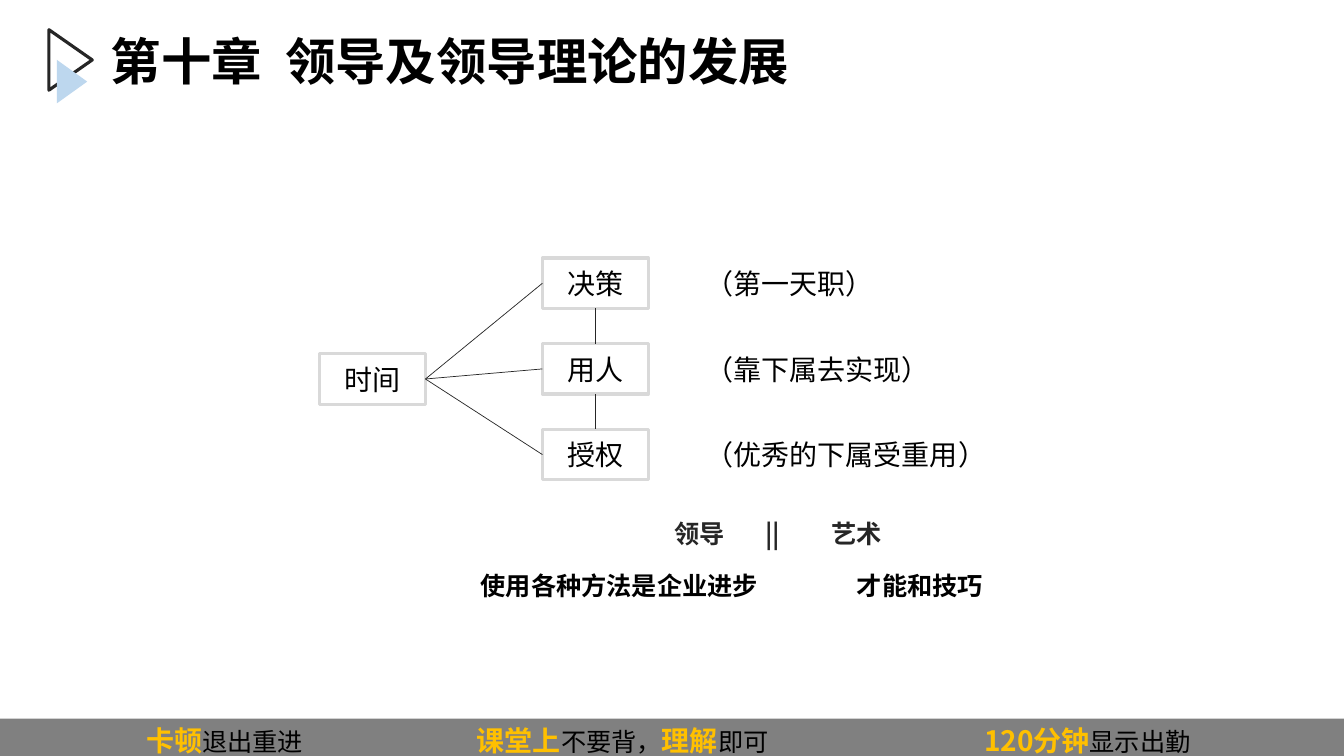
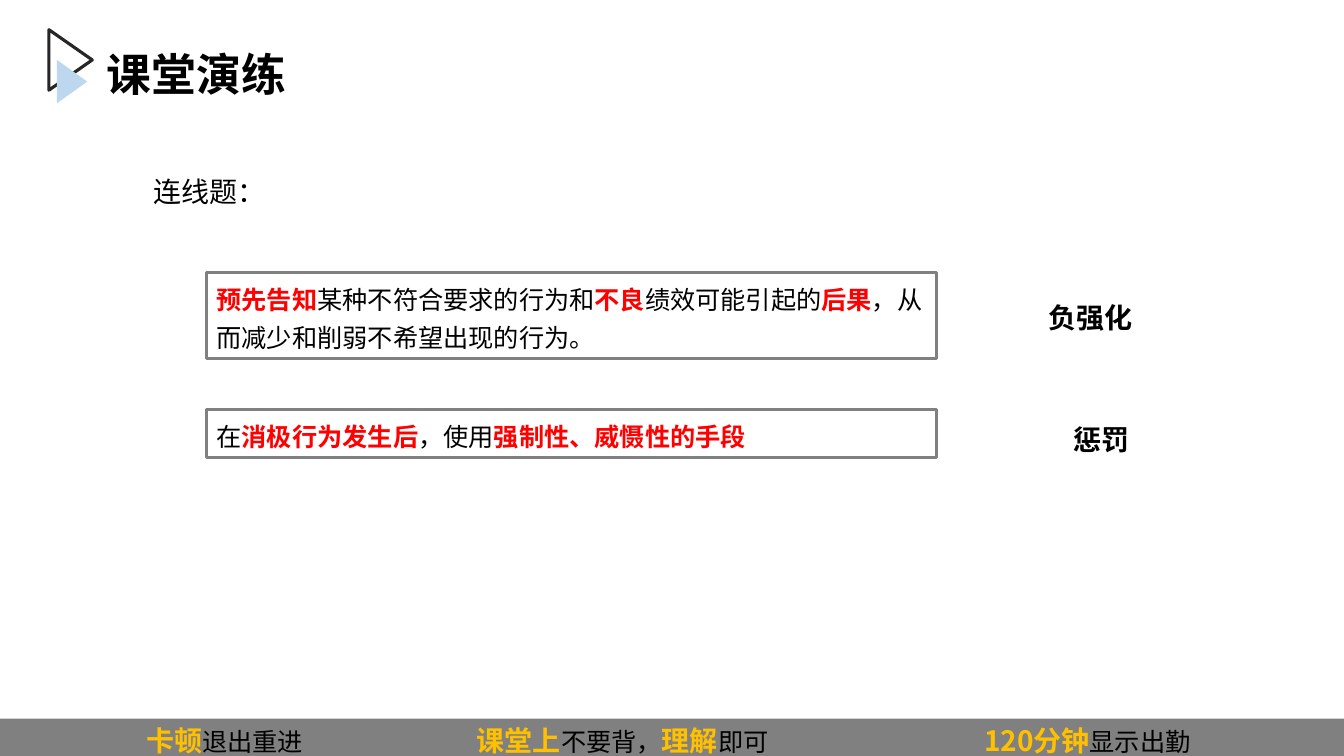
from lxml.etree import SubElement
from pptx import Presentation
from pptx.dml.color import RGBColor
from pptx.enum.shapes import MSO_CONNECTOR as CONNECTOR, MSO_SHAPE as SHAPE
from pptx.enum.text import MSO_ANCHOR as ANCHOR, PP_ALIGN as ALIGN
from pptx.oxml.ns import qn
from pptx.util import Inches, Pt

COLORS = {
    "black": "000000", "dark": "262626", "gray": "808080", "pale": "D9D9D9",
    "blue": "BDD7EE", "gold": "FFC000", "red": "FF0000",
}
FONT = "Noto Sans CJK SC"
PLAIN = (18, "black", False)
BOLD = (18, "black", True)
DARK = (18, "dark", True)
BODY = (20, "black", False)
LABEL = (20, "black", True)
GOLD = (20, "gold", True)
RED = (18, "red", True)

FOOTER = [
    (1.45, [("卡顿", GOLD), ("退出重进", PLAIN)]),
    (4.73, [("课堂上", GOLD), ("不要背，", PLAIN), ("理解", GOLD), ("即可", PLAIN)]),
    (9.76, [("120分钟", GOLD), ("显示出勤", PLAIN)]),
]
BRANCHES = [("决策", "（第一天职）"), ("用人", "（靠下属去实现）"), ("授权", "（优秀的下属受重用）")]
SUMMARY = [
    (1.92, 0, "领导", DARK), (2.82, 0, "||", DARK), (3.48, 0, "艺术", DARK),
    (0, 0.52, "使用各种方法是企业进步", BOLD), (3.73, 0.52, "才能和技巧", BOLD),
]
QUESTIONS = [
    (0, 0.86, [("预先告知", RED), ("某种不符合要求的行为和", PLAIN), ("不良", RED),
               ("绩效可能引起的", PLAIN), ("后果", RED),
               ("，从而减少和削弱不希望出现的行为。", PLAIN)]),
    (1.36, 0.48, [("在", PLAIN), ("消极行为发生后", RED), ("，使用", PLAIN),
                  ("强制性、威慑性的手段", RED)]),
]
ANSWERS = [(0, 0.23, "负强化"), (0.25, 1.44, "惩罚")]


def color(name):
    """Return a palette colour."""
    return RGBColor.from_string(COLORS[name])


def write(shape, segments, anchor=ANCHOR.TOP, align=ALIGN.LEFT, spacing=None, font=FONT):
    """Fill a shape with one paragraph of styled segments."""
    frame = shape.text_frame
    frame.vertical_anchor = anchor
    paragraph = frame.paragraphs[0]
    paragraph.alignment = align
    paragraph.line_spacing = spacing
    for text, (size, tone, bold) in segments:
        run = paragraph.add_run()
        run.text = text
        run.font.size = Pt(size)
        run.font.bold = bold
        run.font.color.rgb = color(tone)
        run.font.name = font
        SubElement(run.font._element, qn("a:ea"), typeface=font)


def add_text(slide, box, segments, wrap=True, **options):
    """Add a text box."""
    shape = slide.shapes.add_textbox(*map(Inches, box))
    shape.text_frame.word_wrap = wrap
    write(shape, segments, **options)
    return shape


def add_figure(slide, kind, box, fill=None, line=None):
    """Add a flat preset shape with an optional fill and outline."""
    shape = slide.shapes.add_shape(kind, *map(Inches, box))
    shape.shadow.inherit = False
    if fill:
        shape.fill.solid()
        shape.fill.fore_color.rgb = color(fill)
    else:
        shape.fill.background()
    if line:
        shape.line.color.rgb = color(line)
        shape.line.width = Pt(2.25)
    else:
        shape.line.fill.background()
    return shape


def join(slide, start, start_side, end, end_side):
    """Join the sides of two boxes with a thin line."""
    connector = slide.shapes.add_connector(CONNECTOR.STRAIGHT, 0, 0, 0, 0)
    connector.begin_connect(start, start_side)
    connector.end_connect(end, end_side)
    connector.line.color.rgb = color("dark")
    connector.line.width = Pt(0.5)
    SubElement(connector._element.spPr, qn("a:effectLst"))


def add_emblem(slide, left, top):
    """Draw the two triangles beside the title."""
    for box, style in (
        ((left, top, 0.6, 0.43), {"line": "dark"}),
        ((left + 0.1, top + 0.28, 0.43, 0.3), {"fill": "blue"}),
    ):
        add_figure(slide, SHAPE.ISOSCELES_TRIANGLE, box, **style).rotation = 90


def add_footer(slide, top, width, height):
    """Draw the footer band and its three reminders."""
    add_figure(slide, SHAPE.RECTANGLE, (0, top, width, height), fill="gray")
    for left, segments in FOOTER:
        shape = add_text(slide, (left, top, 3, height), segments)
        shape.text_frame.margin_left = 0


def add_base(presentation, title, box, size, spacing=None):
    """Add a slide with title, emblem and footer."""
    slide = presentation.slides.add_slide(presentation.slide_layouts[5])
    add_emblem(slide, 0.4, 0.38)
    add_footer(slide, 7.13, 13.33, 0.37)
    heading = slide.shapes.title
    heading.left, heading.top, heading.width, heading.height = map(Inches, box)
    write(heading, [(title, (size, "black", True))], spacing=spacing)
    return slide


def add_node(slide, box, text):
    """Add a labelled box of the diagram."""
    shape = add_figure(slide, SHAPE.RECTANGLE, box, line="pale")
    write(shape, [(text, BODY)], ANCHOR.MIDDLE, ALIGN.CENTER)
    return shape


def add_diagram(slide, left, top):
    """Draw the hub, its branches and their notes."""
    width, height, pitch = 1.05, 0.5, 0.85
    hub = add_node(slide, (left, top + 0.95, width, height), "时间")
    previous = None
    for index, (name, note) in enumerate(BRANCHES):
        row = top + index * pitch
        node = add_node(slide, (left + 2.21, row, width, height), name)
        add_text(slide, (left + 3.73, row, 3.2, height), [(note, BODY)], anchor=ANCHOR.MIDDLE)
        join(slide, hub, 3, node, 1)
        if previous:
            join(slide, previous, 2, node, 0)
        previous = node


def add_summary(slide, left, top):
    """Place the two lines of terms under the diagram."""
    for x, y, text, style in SUMMARY:
        add_text(slide, (left + x, top + y, 3, 0.4), [(text, style)], wrap=False,
                 anchor=ANCHOR.MIDDLE)


def add_exercise(slide, left, top):
    """Place the framed statements and the terms to match."""
    for y, height, segments in QUESTIONS:
        shape = add_figure(slide, SHAPE.RECTANGLE, (left, top + y, 7.24, height), line="gray")
        write(shape, segments, spacing=1.25)
    for x, y, text in ANSWERS:
        add_text(slide, (left + 8.25 + x, top + y, 1.1, 0.44), [(text, LABEL)], wrap=False)


def build_theory(presentation):
    """Build the leadership theory slide."""
    slide = add_base(presentation, "第十章  领导及领导理论的发展", (1, 0.32, 7.11, 0.93), 36, 0.9)
    add_diagram(slide, 3.17, 2.56)
    add_summary(slide, 4.67, 5.09)


def build_practice(presentation):
    """Build the matching exercise slide."""
    slide = add_base(presentation, "课堂演练", (0.96, 0.41, 3, 0.64), 32)
    add_text(slide, (1.42, 1.68, 1.31, 0.44), [("连线题：", BODY)], wrap=False, font="DejaVu Sans")
    add_exercise(slide, 2.05, 2.7)


def main():
    """Build and save the presentation."""
    presentation = Presentation()
    presentation.slide_width = Inches(13.33)
    presentation.slide_height = Inches(7.5)
    build_theory(presentation)
    build_practice(presentation)
    presentation.save("out.pptx")


if __name__ == "__main__":
    main()
